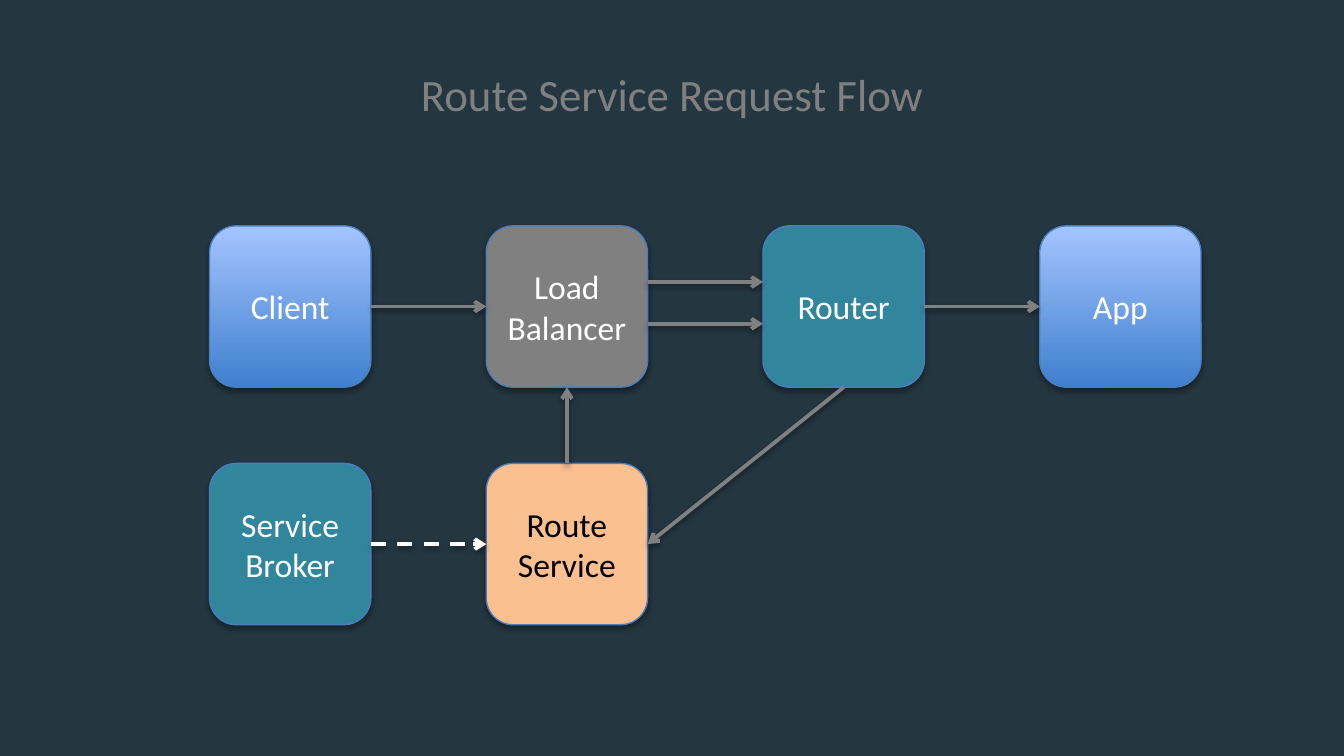
"""Build the route service request flow slide."""
from lxml.etree import SubElement
from pptx import Presentation
from pptx.dml.color import RGBColor
from pptx.enum.dml import MSO_LINE
from pptx.enum.shapes import MSO_CONNECTOR, MSO_SHAPE
from pptx.enum.text import MSO_ANCHOR, PP_ALIGN
from pptx.oxml.ns import qn
from pptx.util import Cm, Pt

NAVY = RGBColor(0x24, 0x36, 0x40)
GREY = RGBColor(0x80, 0x80, 0x80)
TEAL = RGBColor(0x31, 0x85, 0x9C)
PEACH = RGBColor(0xFA, 0xC0, 0x90)
DEEP = RGBColor(0x3F, 0x80, 0xCE)
PALE = RGBColor(0xA4, 0xC4, 0xFF)
EDGE = RGBColor(0x4B, 0x7E, 0xBC)
WHITE = RGBColor(0xFF, 0xFF, 0xFF)
BLACK = RGBColor(0, 0, 0)

TOP, LEFT, BOTTOM, RIGHT = range(4)
SIZE = 3.05
COLS = [3.96 + 5.23 * i for i in range(4)]
ROWS = [4.27, 8.76]


def add_shadow(item, drop, alpha):
    effects = SubElement(item._element.spPr, qn("a:effectLst"))
    shadow = SubElement(effects, qn("a:outerShdw"), blurRad="40000",
                        dist=str(drop), dir="5400000", rotWithShape="0")
    color = SubElement(shadow, qn("a:srgbClr"), val="000000")
    SubElement(color, qn("a:alpha"), val=str(alpha * 1000))


def set_text(frame, text, size, color):
    frame.word_wrap = True
    frame.vertical_anchor = MSO_ANCHOR.MIDDLE
    frame.text = text
    for para in frame.paragraphs:
        para.alignment = PP_ALIGN.CENTER
        para.font.name = "Calibri"
        para.font.size = Pt(size)
        para.font.color.rgb = color


deck = Presentation()
deck.slide_width, deck.slide_height = Cm(25.4), Cm(14.29)
slide = deck.slides.add_slide(deck.slide_layouts[6])
slide.background.fill.solid()
slide.background.fill.fore_color.rgb = NAVY

title = slide.shapes.add_textbox(Cm(1.27), Cm(0.58), Cm(22.86), Cm(2.39))
set_text(title.text_frame, "Route Service Request Flow", 24, GREY)

nodes = [
    ("client", "Client", 0, 0, None, WHITE),
    ("balancer", "Load\nBalancer", 1, 0, GREY, WHITE),
    ("router", "Router", 2, 0, TEAL, WHITE),
    ("app", "App", 3, 0, None, WHITE),
    ("broker", "Service\nBroker", 0, 1, TEAL, WHITE),
    ("service", "Route Service", 1, 1, PEACH, BLACK),
]
boxes = {}
for key, text, col, row, color, ink in nodes:
    box = slide.shapes.add_shape(MSO_SHAPE.ROUNDED_RECTANGLE, Cm(COLS[col]),
                                 Cm(ROWS[row]), Cm(SIZE), Cm(SIZE))
    if color is None:
        box.fill.gradient()
        box.fill.gradient_angle = 90
        for stop, shade in zip(box.fill.gradient_stops, (DEEP, PALE)):
            stop.color.rgb = shade
            stop.position = 0 if shade == DEEP else 1
    else:
        box.fill.solid()
        box.fill.fore_color.rgb = color
    box.line.color.rgb = EDGE
    box.line.width = Pt(0.75)
    add_shadow(box, 23000, 35)
    set_text(box.text_frame, text, 18, ink)
    boxes[key] = box

arrows = []
for start, out, end, into in [
    ("client", RIGHT, "balancer", LEFT),
    ("router", BOTTOM, "service", RIGHT),
    ("service", TOP, "balancer", BOTTOM),
    ("router", RIGHT, "app", LEFT),
    ("broker", RIGHT, "service", LEFT),
]:
    arrow = slide.shapes.add_connector(MSO_CONNECTOR.STRAIGHT, 0, 0, 0, 0)
    arrow.begin_connect(boxes[start], out)
    arrow.end_connect(boxes[end], into)
    arrows.append((arrow, start == "broker"))

for y in (5.33, 6.12):
    arrow = slide.shapes.add_connector(
        MSO_CONNECTOR.STRAIGHT, Cm(COLS[1] + SIZE), Cm(y), Cm(COLS[2]), Cm(y))
    arrows.append((arrow, False))

for arrow, dashed in arrows:
    arrow.line.color.rgb = WHITE if dashed else GREY
    arrow.line.width = Pt(2)
    if dashed:
        arrow.line.dash_style = MSO_LINE.DASH
    SubElement(arrow.line._get_or_add_ln(), qn("a:tailEnd"), type="arrow")
    add_shadow(arrow, 20000, 38)

deck.save("out.pptx")
